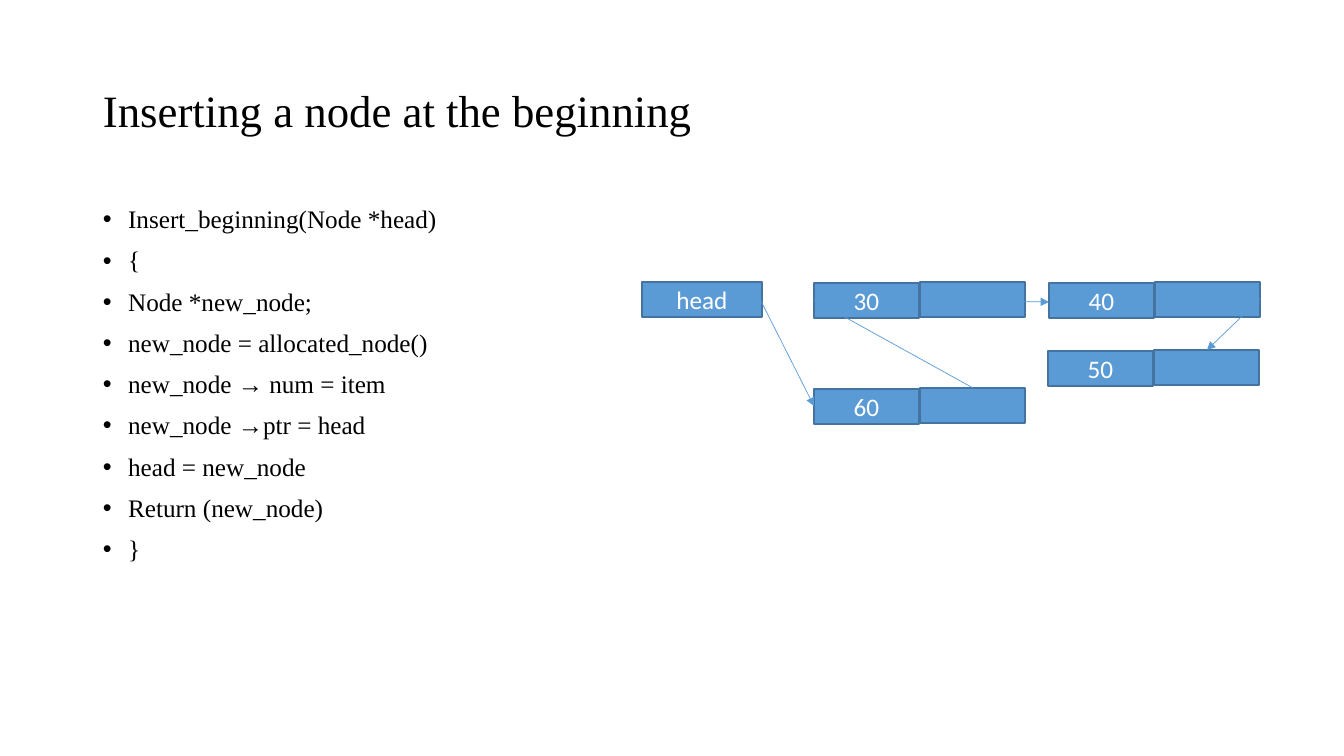
"""Slide on inserting a node at the beginning of a linked list."""
import pptx
import pptx.dml.color
import pptx.enum.shapes
import pptx.enum.text
import pptx.oxml.ns
import pptx.oxml.xmlchemy
import pptx.util

PX = 914400 / 100.8
THEME = {
    "ink": "000000", "cell": "5B9BD5", "edge": "43739E", "label": "FFFFFF",
    "serif": "Times New Roman", "sans": "Calibri",
    "title_size": 32, "text_size": 18, "edge_width": 1, "link_width": 0.5,
}
CELL_WIDTH, CELL_HEIGHT, CELL_PITCH = 105, 35, 106
CENTER = pptx.enum.text.PP_ALIGN.CENTER
MIDDLE = pptx.enum.text.MSO_ANCHOR.MIDDLE


def emu(*lengths):
    return [round(length * PX) for length in lengths]


def write(paragraph, wording, font, size, color, **layout):
    run = paragraph.add_run()
    run.text = wording
    run.font.color.rgb = pptx.dml.color.RGBColor.from_string(THEME[color])
    for target, values in (
        (run.font, {"name": THEME[font], "size": pptx.util.Pt(THEME[size])}),
        (paragraph, layout),
    ):
        for attribute, value in values.items():
            setattr(target, attribute, value)


deck = pptx.Presentation()
deck.slide_width, deck.slide_height = emu(1344, 756)
slide = deck.slides.add_slide(deck.slide_layouts[6])

heading = slide.shapes.add_textbox(*emu(93, 40, 1159, 146)).text_frame
heading.word_wrap = True
heading.vertical_anchor = MIDDLE
write(heading.paragraphs[0], "Inserting a node at the beginning",
      "serif", "title_size", "ink", line_spacing=0.9)

algorithm = slide.shapes.add_textbox(*emu(93, 202, 525, 480)).text_frame
algorithm.word_wrap = True
steps = [
    "Insert_beginning(Node *head)",
    "{",
    "Node *new_node;",
    "new_node = allocated_node()",
    "new_node → num = item",
    "new_node →ptr = head",
    "head = new_node",
    "Return (new_node)",
    "}",
]
for index, step in enumerate(steps):
    line = algorithm.add_paragraph() if index else algorithm.paragraphs[0]
    write(line, step, "serif", "text_size", "ink",
          line_spacing=0.9, space_before=pptx.util.Pt(10))
    properties = line._p.get_or_add_pPr()
    indent = pptx.util.Inches(0.25)
    properties.set("marL", str(indent))
    properties.set("indent", str(-indent))
    for tag, key, value in (("a:buFont", "typeface", "Arial"), ("a:buChar", "char", "•")):
        bullet = pptx.oxml.xmlchemy.OxmlElement(tag)
        bullet.set(key, value)
        properties.append(bullet)

nodes = [("30", 814, 283), ("40", 1049, 283), ("50", 1048, 351), ("60", 814, 389)]
cells = [("head", 642, 282, 120)]
for number, left, top in nodes:
    cells.append((number, left, top, CELL_WIDTH))
    cells.append(("", left + CELL_PITCH, top - 1, CELL_WIDTH))

for label, left, top, width in cells:
    cell = slide.shapes.add_shape(
        pptx.enum.shapes.MSO_SHAPE.RECTANGLE, *emu(left, top, width, CELL_HEIGHT))
    cell.shadow.inherit = False
    cell.fill.solid()
    cell.fill.fore_color.rgb = pptx.dml.color.RGBColor.from_string(THEME["cell"])
    cell.line.color.rgb = pptx.dml.color.RGBColor.from_string(THEME["edge"])
    cell.line.width = pptx.util.Pt(THEME["edge_width"])
    cell.text_frame.vertical_anchor = MIDDLE
    if label:
        write(cell.text_frame.paragraphs[0], label, "sans", "text_size", "label",
              alignment=CENTER)

links = [
    (973, 388, 814, 300),
    (974, 301, 1049, 302),
    (1260, 299, 1207, 350),
    (761, 301, 814, 406),
]
for ends in links:
    link = slide.shapes.add_connector(pptx.enum.shapes.MSO_CONNECTOR.STRAIGHT, *emu(*ends))
    link.line.color.rgb = pptx.dml.color.RGBColor.from_string(THEME["cell"])
    link.line.width = pptx.util.Pt(THEME["link_width"])
    arrowhead = pptx.oxml.xmlchemy.OxmlElement("a:tailEnd")
    arrowhead.set("type", "triangle")
    outline = link._element.spPr.find(pptx.oxml.ns.qn("a:ln"))
    outline.append(arrowhead)
    link._element.spPr.append(pptx.oxml.xmlchemy.OxmlElement("a:effectLst"))

deck.save("out.pptx")
